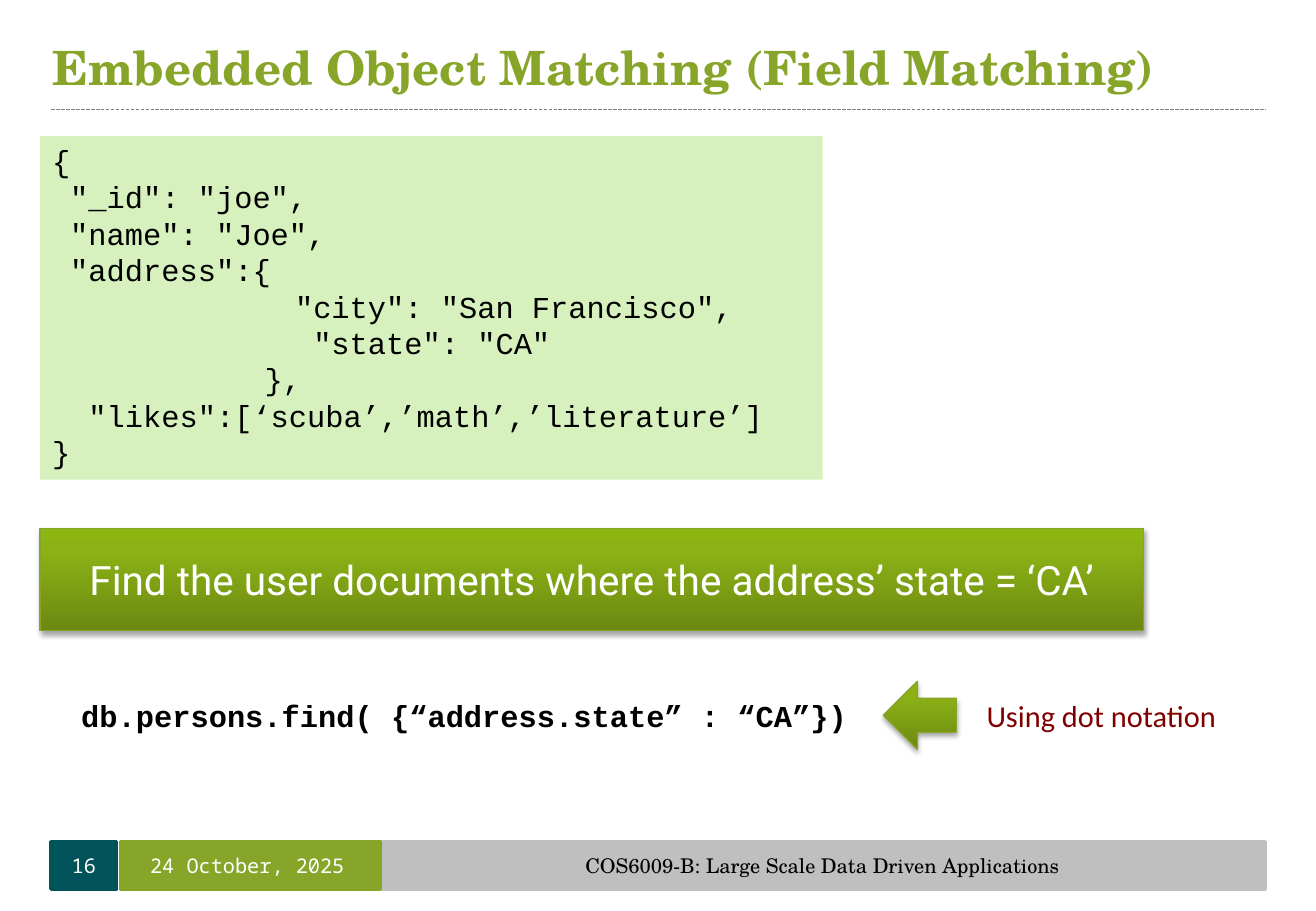
import pptx
import pptx.dml.color
import pptx.enum.dml
import pptx.enum.shapes
import pptx.enum.text
import pptx.oxml
import pptx.oxml.ns
import pptx.util
from pptx.util import Inches

SHAPE = pptx.enum.shapes.MSO_SHAPE
ALIGN = pptx.enum.text.PP_ALIGN
ANCHOR = pptx.enum.text.MSO_ANCHOR
NS = pptx.oxml.ns.nsdecls("a")

TITLE = "Embedded Object Matching (Field Matching)"
CODE = [  # indent in inches, text
    (0, "{"),
    (0.15, '"_id": "joe",'),
    (0.15, '"name": "Joe",'),
    (0.15, '"address":{'),
    (2, '"city": "San Francisco",'),
    (2.15, '"state": "CA"'),
    (1.75, "},"),
    (0.3, "\"likes\":[‘scuba’,’math’,’literature’]"),
    (0, "}"),
]
TASK = "Find the user documents where the address’ state = ‘CA’"
QUERY = "db.persons.find( {“address.state” : “CA”})"
NOTE = "Using dot notation"
FOOTER = [  # left, width, fill, text, font, text colour
    (0.42, 0.54, "005359", "16", "Noto Sans Mono", "FFFFFF"),
    (3.13, 7.28, "BFBFBF", "COS6009-B: Large Scale Data Driven Applications",
     "TeX Gyre Schola", "000000"),
    (0.99, 2.14, "87A529", "24 October, 2025", "Noto Sans Mono", "FFFFFF"),
]
GREEN_STOPS = [(0, "6C8911"), (80, "8CB216"), (100, "8EB613")]


def rgb(value):
    return pptx.dml.color.RGBColor.from_string(value)


def write(tf, lines, size, font, color, bold=False, align=ALIGN.LEFT,
          anchor=ANCHOR.MIDDLE, wrap=True, margins=(0.1, 0.05, 0.1, 0.05)):
    """Fill a text frame with (indent, text) lines, or with one string."""
    if isinstance(lines, str):
        lines = [(0, lines)]
    tf.auto_size = pptx.enum.text.MSO_AUTO_SIZE.NONE
    tf.word_wrap = wrap
    tf.vertical_anchor = anchor
    tf.margin_left, tf.margin_top, tf.margin_right, tf.margin_bottom = map(Inches, margins)
    for i, (indent, text) in enumerate(lines):
        p = tf.add_paragraph() if i else tf.paragraphs[0]
        p.alignment = align
        if indent:
            p._p.get_or_add_pPr().set("marL", str(Inches(indent)))
        r = p.add_run()
        r.text = text
        r.font.size = pptx.util.Pt(size)
        r.font.name = font
        r.font.bold = bold
        r.font.color.rgb = rgb(color)


def add_shape(slide, kind, box, fill, line=None, width=0.75):
    sp = slide.shapes.add_shape(kind, *map(Inches, box))
    sp.shadow.inherit = False
    sp.fill.solid()
    sp.fill.fore_color.rgb = rgb(fill)
    if line:
        sp.line.color.rgb = rgb(line)
        sp.line.width = pptx.util.Pt(width)
    else:
        sp.line.fill.background()
    return sp


def add_glossy(slide, kind, box):
    """Add a shape with the green gradient and a soft shadow below."""
    sp = add_shape(slide, kind, box, "8CB216", "86A425")
    stops = "".join(f'<a:gs pos="{pos * 1000}"><a:srgbClr val="{color}"/></a:gs>'
                    for pos, color in GREEN_STOPS)
    spPr = sp._element.spPr
    solid = spPr.find(pptx.oxml.ns.qn("a:solidFill"))
    spPr.replace(solid, pptx.oxml.parse_xml(
        f'<a:gradFill {NS} rotWithShape="1"><a:gsLst>{stops}</a:gsLst>'
        '<a:lin ang="16200000" scaled="0"/></a:gradFill>'))
    effects = spPr.find(pptx.oxml.ns.qn("a:effectLst"))
    blur, dist = pptx.util.Pt(3.1), pptx.util.Pt(1.8)
    effects.append(pptx.oxml.parse_xml(
        f'<a:outerShdw {NS} blurRad="{blur}" dist="{dist}" dir="5400000" rotWithShape="0">'
        '<a:srgbClr val="000000"><a:alpha val="35000"/></a:srgbClr></a:outerShdw>'))
    return sp


def add_text(slide, box, text, **fmt):
    write(slide.shapes.add_textbox(*map(Inches, box)).text_frame, text, **fmt)


def main():
    prs = pptx.Presentation()
    prs.slide_width, prs.slide_height = Inches(10.83), Inches(7.5)
    slide = prs.slides.add_slide(prs.slide_layouts[5])

    title = slide.shapes.title
    title.left, title.top, title.width, title.height = map(Inches, (0.43, 0.13, 10.1, 0.84))
    write(title.text_frame, TITLE, 28, "TeX Gyre Schola", "87A529", bold=True,
          margins=(0, 0, 0, 0))

    rule = slide.shapes.add_connector(pptx.enum.shapes.MSO_CONNECTOR.STRAIGHT,
                                      *map(Inches, (0.42, 0.9, 10.42, 0.9)))
    rule.line.color.rgb = rgb("7F7F7F")
    rule.line.width = pptx.util.Pt(0.75)
    rule.line.dash_style = pptx.enum.dml.MSO_LINE.SQUARE_DOT
    rule._element.spPr.append(pptx.oxml.parse_xml(f"<a:effectLst {NS}/>"))

    for left, width, fill, text, font, color in FOOTER:
        sp = add_shape(slide, SHAPE.RECTANGLE, (left, 6.93, width, 0.39), fill, fill, 2)
        write(sp.text_frame, text, 12, font, color, align=ALIGN.CENTER,
              margins=(0, 0, 0.05, 0) if fill == "87A529" else (0, 0, 0, 0))

    code = add_shape(slide, SHAPE.RECTANGLE, (0.33, 1.12, 6.44, 2.83), "D7F1BE")
    write(code.text_frame, CODE, 18, "Courier New", "000000", anchor=ANCHOR.TOP)

    task = add_glossy(slide, SHAPE.RECTANGLE, (0.33, 4.35, 9.08, 0.84))
    write(task.text_frame, TASK, 24, "Roboto", "FFFFFF", align=ALIGN.CENTER)

    add_text(slide, (0.57, 5.69, 6.53, 0.4), QUERY, size=18, font="Courier New",
             color="000000", bold=True, anchor=ANCHOR.TOP, wrap=False)
    add_glossy(slide, SHAPE.LEFT_ARROW, (7.27, 5.61, 0.6, 0.56))
    add_text(slide, (8.02, 5.69, 2.51, 0.4), NOTE, size=18, font="Calibri",
             color="800000", anchor=ANCHOR.TOP, wrap=False)

    prs.save("out.pptx")


if __name__ == "__main__":
    main()
